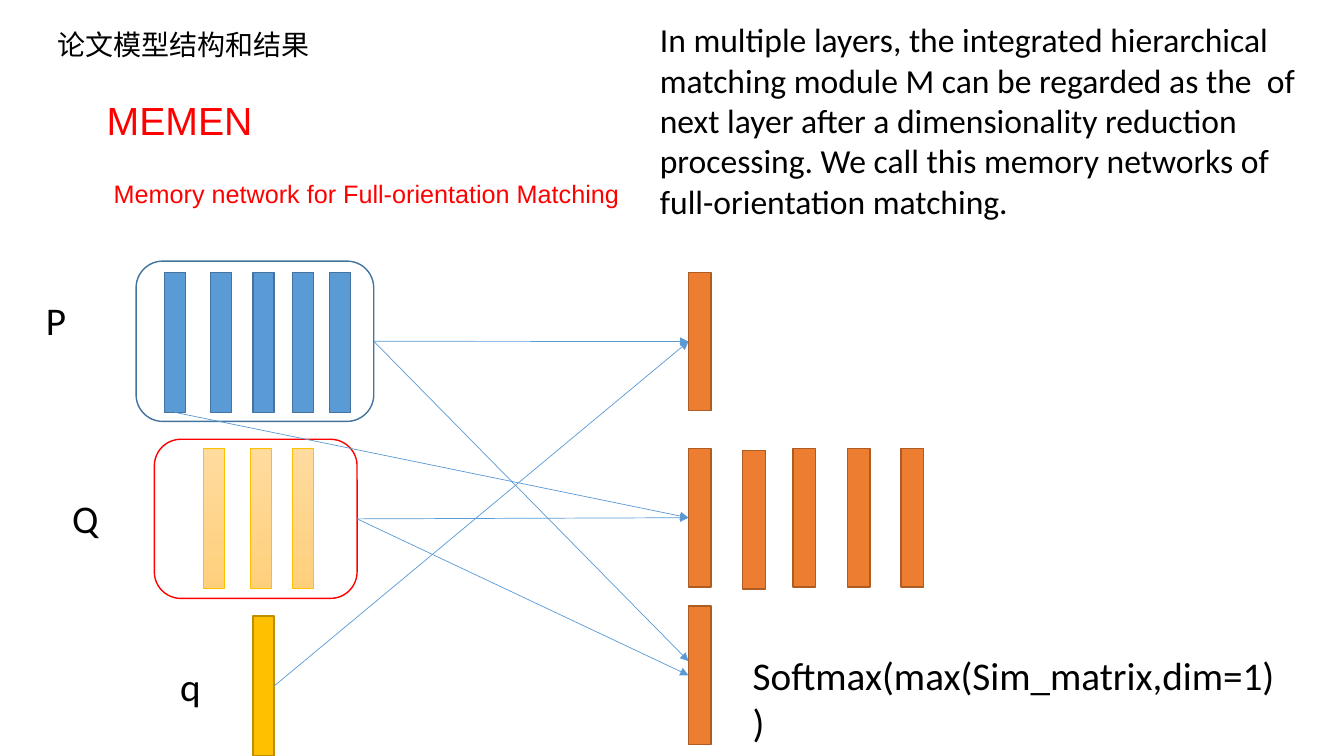
from dataclasses import dataclass

from lxml.etree import SubElement
from pptx import Presentation
from pptx.dml.color import RGBColor
from pptx.enum.shapes import MSO_CONNECTOR, MSO_SHAPE
from pptx.enum.text import MSO_AUTO_SIZE
from pptx.oxml.ns import qn
from pptx.util import Cm, Pt


@dataclass(frozen=True)
class Theme:
    black: str = "000000"
    red: str = "FF0000"
    blue: str = "5B9BD5"
    blue_edge: str = "43739E"
    gold: str = "FFC000"
    gold_edge: str = "BD8E00"
    gold_fade: tuple = ("FFDB9E", "FFD07C")
    orange: str = "ED7D31"
    orange_edge: str = "AF5C24"
    body_font: str = "Calibri"
    title_font: str = "Arial"
    chinese_font: str = "Noto Sans CJK SC"
    large: int = 28
    medium: int = 24
    heading: int = 20
    small: int = 18
    edge: float = 1
    thin: float = 0.5


THEME = Theme()
LEFT, BOTTOM, RIGHT = 1, 2, 3  # connection sites of a rectangle


def rgb(value):
    return RGBColor.from_string(value)


def add_text(page, text, left, top, width, height, *, size=THEME.large,
             font=THEME.body_font, color=THEME.black, wrap=True):
    box = page.shapes.add_textbox(Cm(left), Cm(top), Cm(width), Cm(height))
    frame = box.text_frame
    frame.word_wrap = wrap
    frame.auto_size = MSO_AUTO_SIZE.SHAPE_TO_FIT_TEXT
    span = frame.paragraphs[0].add_run()
    span.text = text
    span.font.size = Pt(size)
    span.font.name = font
    span.font.color.rgb = rgb(color)
    SubElement(span.font._element, qn("a:ea"), typeface=font)


def add_block(page, kind, left, top, width, height, *, line, fill=None, weight=THEME.edge):
    """Fill is one colour, a pair fading downwards, or None."""
    block = page.shapes.add_shape(kind, Cm(left), Cm(top), Cm(width), Cm(height))
    block.shadow.inherit = False
    block.line.color.rgb = rgb(line)
    block.line.width = Pt(weight)
    if fill is None:
        block.fill.background()
    elif isinstance(fill, tuple):
        block.fill.gradient()
        block.fill.gradient_angle = 270
        for stop, color in zip(block.fill.gradient_stops, fill):
            stop.color.rgb = rgb(color)
    else:
        block.fill.solid()
        block.fill.fore_color.rgb = rgb(fill)
    return block


def add_input_bars(page, lefts, top, **style):
    return [add_block(page, MSO_SHAPE.RECTANGLE, left, top, 0.53, 3.53, **style)
            for left in lefts]


def add_output_bar(page, left, top):
    return add_block(page, MSO_SHAPE.RECTANGLE, left, top, 0.57, 3.49,
                     fill=THEME.orange, line=THEME.orange_edge)


def add_arrow(page, source, site, target, end_y=None):
    """Join a site of source to the left side of target, or to height end_y there."""
    arrow = page.shapes.add_connector(MSO_CONNECTOR.STRAIGHT, 0, 0, 0, 0)
    arrow.begin_connect(source, site)
    if end_y is None:
        arrow.end_connect(target, LEFT)
    else:
        arrow.end_x, arrow.end_y = target.left, Cm(end_y)
    arrow.line.color.rgb = rgb(THEME.blue)
    arrow.line.width = Pt(THEME.thin)
    SubElement(arrow.line._get_or_add_ln(), qn("a:tailEnd"), type="triangle")
    SubElement(arrow._element.spPr, qn("a:effectLst"))


def main():
    deck = Presentation()
    deck.slide_width, deck.slide_height = Cm(33.87), Cm(19.05)
    page = deck.slides.add_slide(deck.slide_layouts[6])

    # Headings
    add_text(page, "论文模型结构和结果", 1.19, 0.56, 6.93, 1.12,
             size=THEME.heading, font=THEME.chinese_font, wrap=False)
    add_text(page, "MEMEN", 2.44, 2.29, 4.45, 1.45,
             font=THEME.title_font, color=THEME.red, wrap=False)
    add_text(page, " Memory network for Full-orientation Matching", 2.44, 4.37, 13.92, 1.02,
             size=THEME.small, font=THEME.title_font, color=THEME.red, wrap=False)

    # Input bars
    passage_bars = add_input_bars(page, (4.14, 5.31, 6.38, 7.37, 8.31), 6.86,
                                  fill=THEME.blue, line=THEME.blue_edge)
    add_input_bars(page, (5.13, 6.3, 7.37), 11.3,
                   fill=THEME.gold_fade, line=THEME.gold, weight=THEME.thin)
    [query_bar] = add_input_bars(page, (6.38,), 15.52,
                                 fill=THEME.gold, line=THEME.gold_edge)

    # Output bars
    top_bar, middle_bar, bottom_bar = [
        add_output_bar(page, 17.35, top) for top in (6.86, 11.3, 15.27)]
    for left, top in ((18.72, 11.35), (19.99, 11.3), (21.36, 11.3), (22.71, 11.3)):
        add_output_bar(page, left, top)

    # Frames around the input groups
    passage = add_block(page, MSO_SHAPE.ROUNDED_RECTANGLE, 3.43, 6.58, 5.99, 4.04,
                        line=THEME.blue_edge)
    question = add_block(page, MSO_SHAPE.ROUNDED_RECTANGLE, 3.89, 11.07, 5.11, 4.01,
                         line=THEME.red)

    # Arrows from inputs to outputs
    add_arrow(page, passage, RIGHT, top_bar)
    add_arrow(page, query_bar, RIGHT, top_bar)
    add_arrow(page, passage_bars[0], BOTTOM, middle_bar)
    add_arrow(page, question, RIGHT, middle_bar)
    add_arrow(page, passage, RIGHT, bottom_bar, end_y=16.66)
    add_arrow(page, question, RIGHT, bottom_bar)

    # Labels and explanation
    for label, left, top in (("P", 0.91, 7.34), ("Q", 1.57, 12.32), ("q", 4.29, 16.56)):
        add_text(page, label, left, top, 1.52, 1.45)
    add_text(page, "Softmax(max(Sim_matrix,dim=1))", 18.72, 16.28, 13.87, 1.45)
    add_text(page, "In multiple layers, the integrated hierarchical matching module M "
             "can be regarded as the  of next layer after a dimensionality reduction "
             "processing. We call this memory networks of full-orientation matching.",
             16.38, 0.36, 16.94, 5.38, size=THEME.medium)

    deck.save("out.pptx")


if __name__ == "__main__":
    main()
